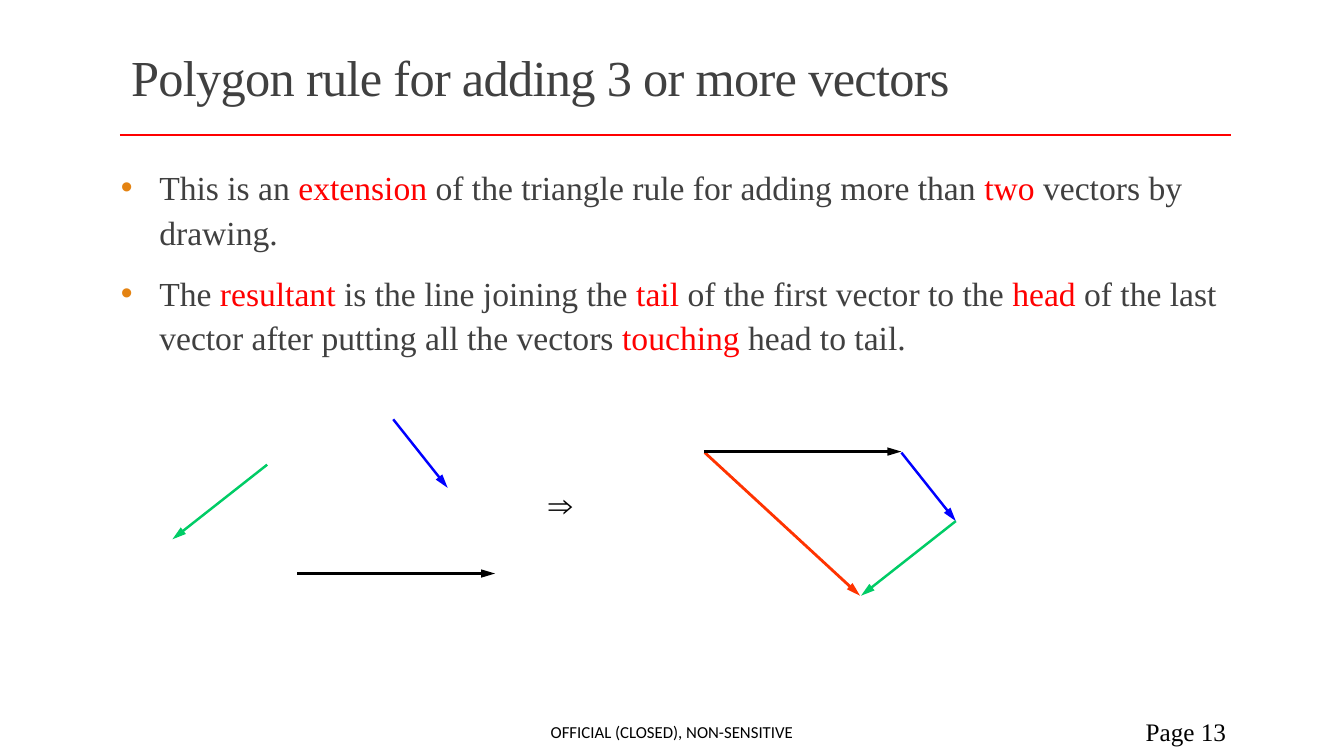
from lxml import etree
from pptx import Presentation
from pptx.dml.color import RGBColor
from pptx.enum.shapes import MSO_CONNECTOR
from pptx.enum.text import MSO_ANCHOR, PP_ALIGN
from pptx.oxml.ns import qn
from pptx.util import Inches, Pt

STRAIGHT = MSO_CONNECTOR.STRAIGHT
TOP, MIDDLE = MSO_ANCHOR.TOP, MSO_ANCHOR.MIDDLE
LEFT, CENTER, RIGHT = PP_ALIGN.LEFT, PP_ALIGN.CENTER, PP_ALIGN.RIGHT
SERIF, SANS = "Times New Roman", "Calibri"
BLACK, GREY, RED, ORANGE = "000000", "404040", "FF0000", "E48312"
BLUE, GREEN, RESULTANT = "0000FF", "00CC66", "FF3300"


def colour(value):
    return RGBColor.from_string(value)


class SlideBuilder:
    def __init__(self, deck):
        self.page = deck.slides.add_slide(deck.slide_layouts[5])

    def style(self, font, size, shade, name=SERIF):
        font.name = name
        font.size = Pt(size)
        font.color.rgb = colour(shade)

    def title(self, text, left, top, width, height):
        box = self.page.shapes.title
        box.left, box.top = Inches(left), Inches(top)
        box.width, box.height = Inches(width), Inches(height)
        frame = box.text_frame
        frame.word_wrap = True
        frame.vertical_anchor = MIDDLE
        para = frame.paragraphs[0]
        para.alignment = LEFT
        para.line_spacing = 0.85
        span = para.add_run()
        span.text = text
        self.style(span.font, 36, GREY)
        span.font._element.set("spc", "-50")

    def frame(self, left, top, width, height, anchor=TOP):
        box = self.page.shapes.add_textbox(
            Inches(left), Inches(top), Inches(width), Inches(height))
        box.text_frame.word_wrap = True
        box.text_frame.vertical_anchor = anchor
        return box.text_frame

    def label(self, text, left, top, width, height, size,
              name=SERIF, align=LEFT, anchor=MIDDLE):
        para = self.frame(left, top, width, height, anchor).paragraphs[0]
        para.text = text
        para.alignment = align
        self.style(para.font, size, BLACK, name)

    def bullets(self, items, left, top, width, height):
        frame = self.frame(left, top, width, height)
        frame.margin_left = frame.margin_right = 0
        for index, item in enumerate(items):
            para = frame.add_paragraph() if index else frame.paragraphs[0]
            para.line_spacing = 1.1
            para.space_before = Pt(6 if index else 0)
            para.space_after = Pt(6)
            self.add_bullet(para)
            for position, text in enumerate(item.split("*")):
                span = para.add_run()
                span.text = text
                self.style(span.font, 24, RED if position % 2 else GREY)

    def add_bullet(self, para):
        properties = para._p.get_or_add_pPr()
        properties.set("marL", str(Inches(0.38)))
        properties.set("indent", str(-Inches(0.38)))
        shade = etree.SubElement(properties, qn("a:buClr"))
        etree.SubElement(shade, qn("a:srgbClr"), val=ORANGE)
        etree.SubElement(properties, qn("a:buFont"), typeface="Arial")
        etree.SubElement(properties, qn("a:buChar"), char="•")

    def line(self, start, end, shade, width):
        connector = self.page.shapes.add_connector(
            STRAIGHT, *map(Inches, start + end))
        connector.line.color.rgb = colour(shade)
        connector.line.width = Pt(width)
        etree.SubElement(connector._element.spPr, qn("a:effectLst"))
        return connector

    def vector(self, start, end, shade, width=1.75):
        connector = self.line(start, end, shade, width)
        etree.SubElement(connector.line._get_or_add_ln(), qn("a:tailEnd"),
                         type="triangle", w="med", len="lg")


def main():
    deck = Presentation()
    deck.slide_width, deck.slide_height = Inches(13.33), Inches(7.5)
    slide = SlideBuilder(deck)
    slide.line((1.19, 1.34), (12.21, 1.34), RED, 2)
    slide.title("Polygon rule for adding 3 or more vectors", 1.2, 0.31, 11, 0.98)
    slide.bullets([
        "This is an *extension* of the triangle rule for adding more than "
        "*two* vectors by drawing.",
        "The *resultant* is the line joining the *tail* of the first vector "
        "to the *head* of the last vector after putting all the vectors "
        "*touching* head to tail.",
    ], 1.2, 1.57, 11.02, 2.02)
    slide.label("Page 13", 10.83, 7.06, 1.43, 0.4, 18, align=RIGHT)
    slide.label("OFFICIAL (CLOSED), NON-SENSITIVE", 4.03, 7.06, 5.27, 0.4, 12,
                SANS, CENTER)
    slide.label("⇒", 5.34, 4.75, 0.58, 0.64, 24, anchor=TOP)

    slide.vector((6.99, 4.49), (8.53, 5.91), RESULTANT, 2)
    vectors = [
        (BLACK, 1.96, 0, (2.95, 5.69), (6.98, 4.48)),
        (BLUE, 0.54, 0.68, (3.9, 4.16), (8.94, 4.49)),
        (GREEN, -0.94, 0.74, (2.65, 4.61), (9.48, 5.17)),
    ]
    for shade, across, down, *starts in vectors:
        for x, y in starts:
            slide.vector((x, y), (x + across, y + down), shade)
    deck.save("out.pptx")


if __name__ == "__main__":
    main()
